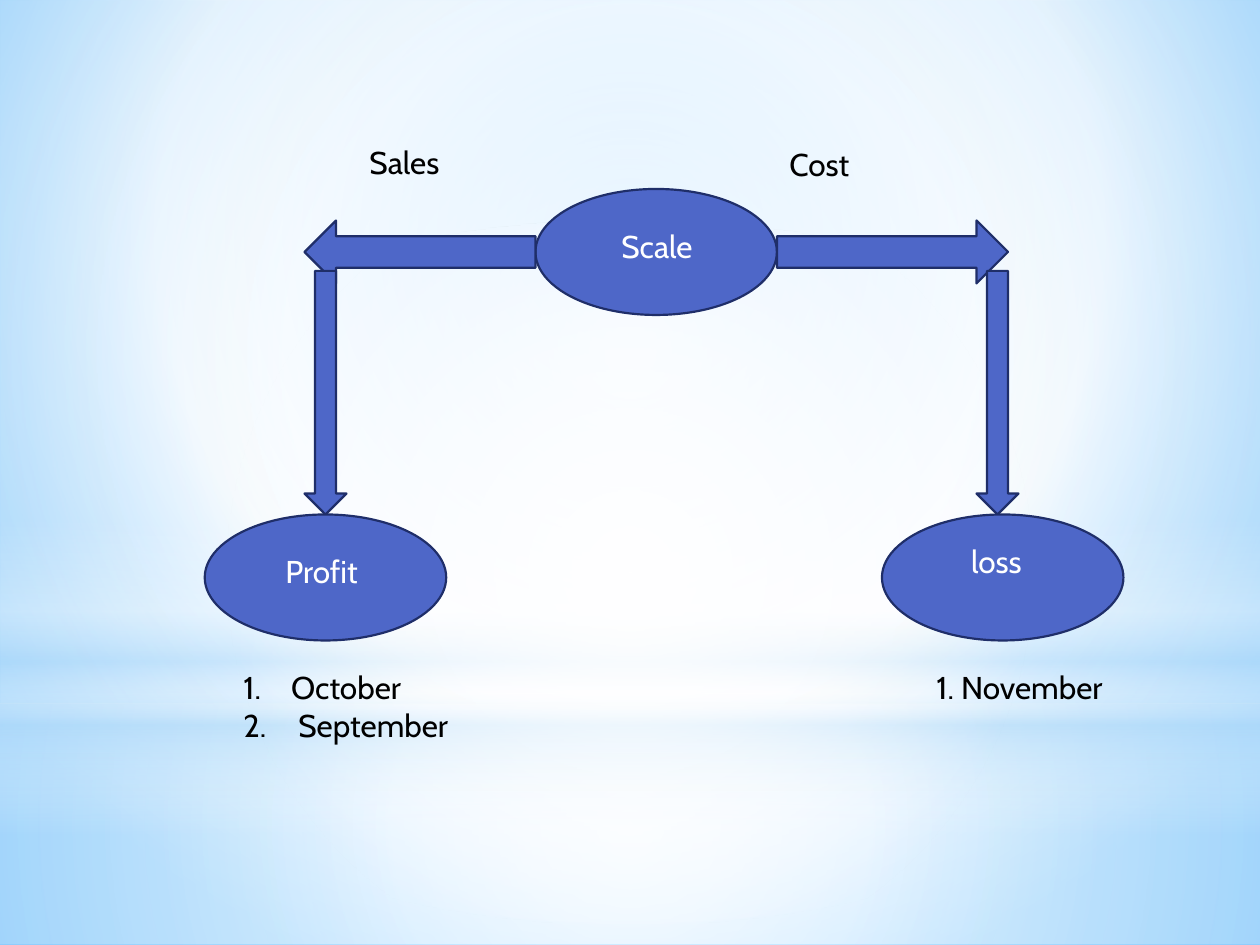
import pptx
import pptx.util
import pptx.dml.color
import pptx.enum.shapes
import pptx.enum.text
import pptx.oxml
import pptx.oxml.ns

SHAPE = pptx.enum.shapes.MSO_SHAPE
WIDTH, HEIGHT = 10, 7.5
COLS, ROWS = 120, 90

THEME = {
    "font": "Cabin", "size": 18, "line_width": 1.25, "indent": 0.38,
    "fill": "4E67C8", "line": "1F2E69", "dark": "000000", "light": "FFFFFF",
    "sky": "9ED5FF", "white": "FFFFFF", "deep": "5BB9FF", "haze": "B4DCFA",
}

# Gradient stops: position %, theme colour, opacity %
CENTRE = (50, 50, 50, 50)
BACKDROP = ([(0, "sky", 100), (60, "white", 100), (100, "deep", 100)], (20, 10, 20, 60))

# Backdrop layers: shape, (col, row, cols, rows), stops, focus (None is top to bottom)
LAYERS = [
    (SHAPE.RECTANGLE, (0, 67, COLS, 23),
     [(0, "white", 91), (37, "white", 76), (100, "haze", 79)], CENTRE),
    (SHAPE.RECTANGLE, (0, 0, COLS, 67),
     [(0, "white", 89), (48, "white", 62), (100, "haze", 79)], CENTRE),
    (SHAPE.RECTANGLE, (0, 49.5, COLS, 30),
     [(0, "white", 0), (29, "white", 30), (45, "haze", 40), (55, "white", 26),
      (65, "haze", 60), (100, "white", 0)], None),
    (SHAPE.OVAL, (0, 21, COLS, 67), [(0, "white", 100), (56, "white", 0)], CENTRE),
]

# Diagram: left and top of each part; sizes go by kind
SIZES = {"oval": (23, 12), "across": (22, 6), "down": (4, 23.2)}
KINDS = {"oval": SHAPE.OVAL, "across": SHAPE.RIGHT_ARROW, "down": SHAPE.DOWN_ARROW}
PARTS = [
    ("oval", 51, 18, 0), ("across", 74, 21, 0), ("across", 29, 21, 180),
    ("down", 29, 25.8, 0), ("down", 93, 25.8, 0),
    ("oval", 19.5, 49, 0), ("oval", 84, 49, 0),
]

# Labels: lines, box, colour, numbered
LABELS = [
    (["Sales"], (34, 13, 16, 4.8), "dark", False),
    (["Cost"], (74, 13.2, 16, 4.8), "dark", False),
    (["Scale"], (58, 21, 11, 4.8), "light", False),
    (["Profit"], (26, 52, 10, 5), "light", False),
    (["loss"], (91.3, 51, 10, 5), "light", False),
    (["October", " September"], (22, 63, 24, 8.5), "dark", True),
    (["1. November"], (88, 63, 21, 4.8), "dark", False),
]


def rgb(name):
    return pptx.dml.color.RGBColor.from_string(THEME[name])


def place(col, row, cols, rows):
    x, y = WIDTH / COLS, HEIGHT / ROWS
    return [pptx.util.Inches(v) for v in (col * x, row * y, cols * x, rows * y)]


def set_gradient(fill, element, stops, focus):
    """Put a gradient where the solid fill of the element stands."""
    fill.solid()
    gs = "".join(
        f'<a:gs pos="{pos * 1000}"><a:srgbClr val="{THEME[color]}">'
        f'<a:alpha val="{alpha * 1000}"/></a:srgbClr></a:gs>'
        for pos, color, alpha in stops)
    if focus:
        edges = " ".join(f'{k}="{v * 1000}"' for k, v in zip("ltrb", focus))
        way = f'<a:path path="circle"><a:fillToRect {edges}/></a:path>'
    else:
        way = '<a:lin ang="5400000" scaled="0"/>'
    solid = next(element.iter(pptx.oxml.ns.qn("a:solidFill")))
    solid.getparent().replace(solid, pptx.oxml.parse_xml(
        f'<a:gradFill {pptx.oxml.ns.nsdecls("a")} rotWithShape="1">'
        f'<a:gsLst>{gs}</a:gsLst>{way}</a:gradFill>'))


def add_shape(s, kind, box):
    sp = s.shapes.add_shape(kind, *place(*box))
    sp.shadow.inherit = False
    return sp


def add_label(s, lines, box, color, numbered):
    tf = s.shapes.add_textbox(*place(*box)).text_frame
    tf.word_wrap = True
    tf.auto_size = pptx.enum.text.MSO_AUTO_SIZE.SHAPE_TO_FIT_TEXT
    for i, line in enumerate(lines):
        p = tf.add_paragraph() if i else tf.paragraphs[0]
        r = p.add_run()
        r.text = line
        formats = {"name": THEME["font"], "size": pptx.util.Pt(THEME["size"])}
        for key, value in formats.items():
            setattr(r.font, key, value)
        r.font.color.rgb = rgb(color)
        if numbered:
            pPr = p._p.get_or_add_pPr()
            indent = pptx.util.Inches(THEME["indent"])
            for key, value in {"marL": indent, "indent": -indent}.items():
                pPr.set(key, str(int(value)))
            pPr.append(pptx.oxml.parse_xml(
                f'<a:buAutoNum {pptx.oxml.ns.nsdecls("a")} type="arabicPeriod"/>'))


def main():
    prs = pptx.Presentation()
    prs.slide_width = pptx.util.Inches(WIDTH)
    prs.slide_height = pptx.util.Inches(HEIGHT)
    s = prs.slides.add_slide(prs.slide_layouts[6])

    # Backdrop
    set_gradient(s.background.fill, s.element, *BACKDROP)
    for kind, box, stops, focus in LAYERS:
        sp = add_shape(s, kind, box)
        set_gradient(sp.fill, sp.element, stops, focus)
        sp.line.fill.background()

    # Ovals and arrows of the scale
    for kind, col, row, rotation in PARTS:
        sp = add_shape(s, KINDS[kind], (col, row, *SIZES[kind]))
        sp.rotation = rotation
        sp.fill.solid()
        sp.fill.fore_color.rgb = rgb("fill")
        sp.line.color.rgb = rgb("line")
        sp.line.width = pptx.util.Pt(THEME["line_width"])

    # Labels
    for label in LABELS:
        add_label(s, *label)

    prs.save("out.pptx")


if __name__ == "__main__":
    main()
